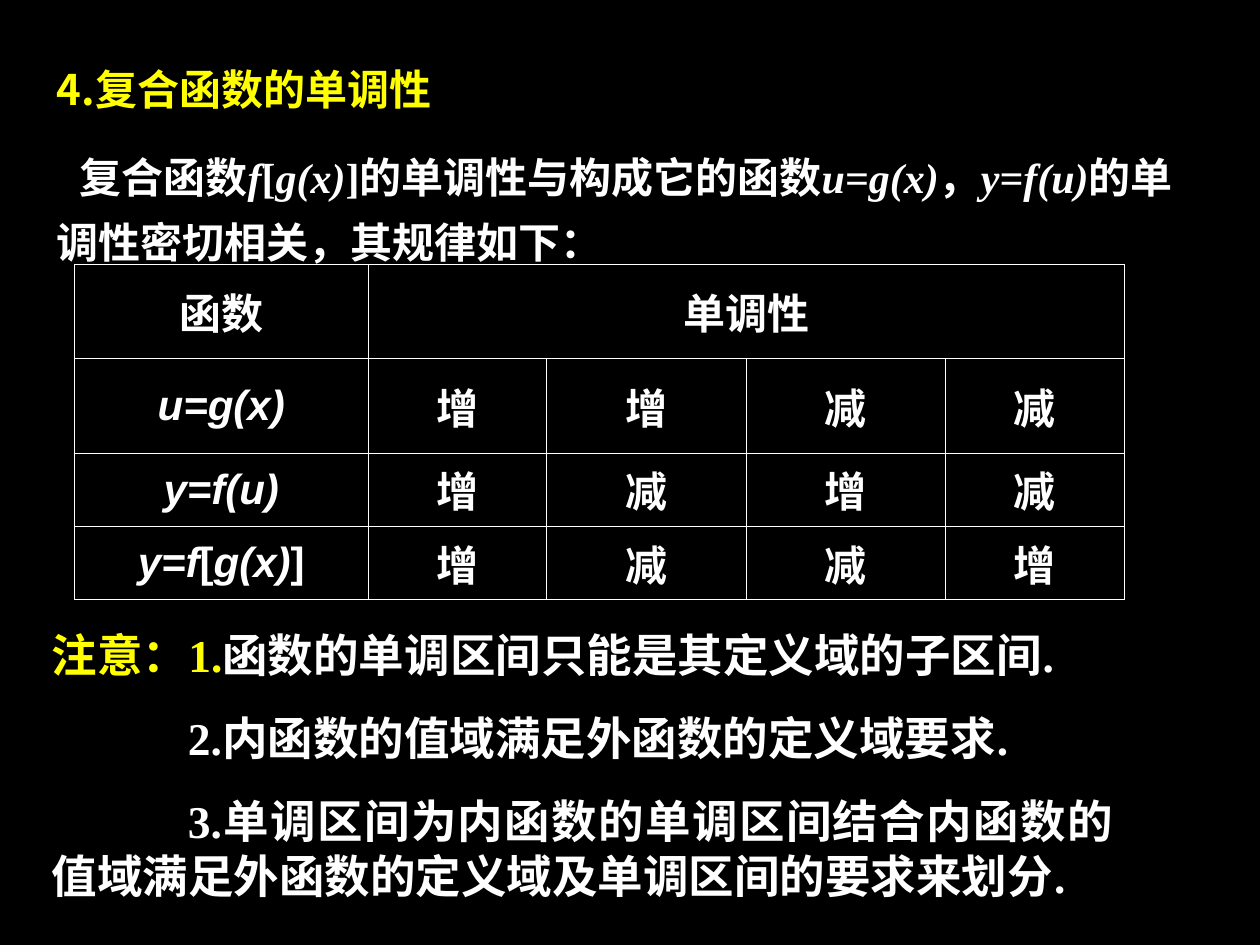
from dataclasses import dataclass

from lxml import etree
from pptx import Presentation
from pptx.dml.color import RGBColor
from pptx.enum.text import MSO_ANCHOR, PP_ALIGN
from pptx.oxml.ns import qn
from pptx.util import Cm, Pt

MIDDLE, TOP = MSO_ANCHOR.MIDDLE, MSO_ANCHOR.TOP
LEFT, CENTER, JUSTIFY = PP_ALIGN.LEFT, PP_ALIGN.CENTER, PP_ALIGN.JUSTIFY


@dataclass(frozen=True)
class Theme:
    back: RGBColor = RGBColor(0, 0, 0)
    text: RGBColor = RGBColor(255, 255, 255)
    accent: RGBColor = RGBColor(255, 255, 0)
    head: str = "Noto Sans CJK SC"
    serif: str = "Times New Roman"
    sans: str = "Arial"
    size: Pt = Pt(24)
    note: Pt = Pt(26)
    line: Pt = Pt(0.45)


THEME = Theme()

RULE = ("复合函数*f*[*g(x)*]的单调性与构成它的函数*u=g(x)*，*y=f(u)*"
        "的单调性密切相关，其规律如下：")
ROWS = [
    ["函数", "单调性", "", "", ""],
    ["*u=g(x)*", "增", "增", "减", "减"],
    ["*y=f(u)*", "增", "减", "增", "减"],
    ["*y=f*[*g(x)*]", "增", "减", "减", "增"],
]
WIDTHS = [5.92, 3.6, 4.02, 4.02, 3.6]
HEIGHTS = [1.9, 1.9, 1.48, 1.48]
LEAD = "注意：1."
NOTES = [
    "函数的单调区间只能是其定义域的子区间.",
    "2.内函数的值域满足外函数的定义域要求.",
    "3.单调区间为内函数的单调区间结合内函数的值域满足外函数的定义域及单调区间的要求来划分.",
]


def style(run, face, size, color, slant=False):
    font = run.font
    font.name, font.size, font.bold, font.italic = face, size, True, slant
    font.color.rgb = color


def write(para, text, face, size, color=THEME.text):
    """Add bold text in which *stars* enclose the italic parts."""
    for i, part in enumerate(text.split("*")):
        if part:
            run = para.add_run()
            run.text = part
            style(run, face, size, color, i % 2 == 1)


def indent(para, width):
    props = para._p.get_or_add_pPr()
    props.set("marL", "0")
    props.set("indent", str(width))


def add_title(slide, text):
    title = slide.shapes.title
    title.left, title.top, title.width, title.height = (
        Cm(0.89), Cm(1.12), Cm(23), Cm(1.35))
    frame = title.text_frame
    frame.text = text
    frame.vertical_anchor = MIDDLE
    para = frame.paragraphs[0]
    para.alignment = LEFT
    style(para.runs[0], THEME.head, THEME.size, THEME.accent)


def add_box(slide, left, top, width, height):
    frame = slide.shapes.add_textbox(left, top, width, height).text_frame
    frame.word_wrap = True
    frame.vertical_anchor = TOP
    return frame


def add_rule(slide):
    frame = add_box(slide, Cm(0.89), Cm(2.62), Cm(23), Cm(2.9))
    para = frame.paragraphs[0]
    para.alignment = JUSTIFY
    para.line_spacing = Pt(37.5)
    indent(para, Cm(0.46))
    write(para, RULE, THEME.serif, THEME.size)


def add_notes(slide):
    frame = add_box(slide, Cm(0.79), Cm(12.52), Cm(21.92), Cm(5.82))
    for i, note in enumerate(NOTES):
        para = frame.add_paragraph() if i else frame.paragraphs[0]
        para.alignment = JUSTIFY
        if i:
            para.space_before = Pt(16.2)
            indent(para, Cm(2.75))
        else:
            write(para, LEAD, THEME.serif, THEME.note, THEME.accent)
        write(para, note, THEME.serif, THEME.note)


def set_border(cell):
    props = cell._tc.get_or_add_tcPr()
    for side in ("lnL", "lnR", "lnT", "lnB"):
        line = etree.SubElement(props, qn(f"a:{side}"), w=str(THEME.line))
        fill = etree.SubElement(line, qn("a:solidFill"))
        etree.SubElement(fill, qn("a:srgbClr"), val=str(THEME.text))


def add_grid(slide):
    table = slide.shapes.add_table(
        len(ROWS), len(WIDTHS), Cm(1.5), Cm(5.33),
        Cm(sum(WIDTHS)), Cm(sum(HEIGHTS))).table
    table.first_row = table.horz_banding = False
    for col, width in zip(table.columns, WIDTHS):
        col.width = Cm(width)
    for row, height, texts in zip(table.rows, HEIGHTS, ROWS):
        row.height = Cm(height)
        for cell, text in zip(row.cells, texts):
            set_border(cell)
            cell.fill.background()
            cell.vertical_anchor = MIDDLE
            para = cell.text_frame.paragraphs[0]
            para.alignment = CENTER
            write(para, text, THEME.sans, THEME.size)
    table.cell(0, 1).merge(table.cell(0, 4))


def main():
    deck = Presentation()
    deck.slide_width, deck.slide_height = Cm(25.4), Cm(19.05)
    slide = deck.slides.add_slide(deck.slide_layouts[5])
    fill = slide.background.fill
    fill.solid()
    fill.fore_color.rgb = THEME.back
    add_title(slide, "4.复合函数的单调性")
    add_rule(slide)
    add_grid(slide)
    add_notes(slide)
    deck.save("out.pptx")


if __name__ == "__main__":
    main()
